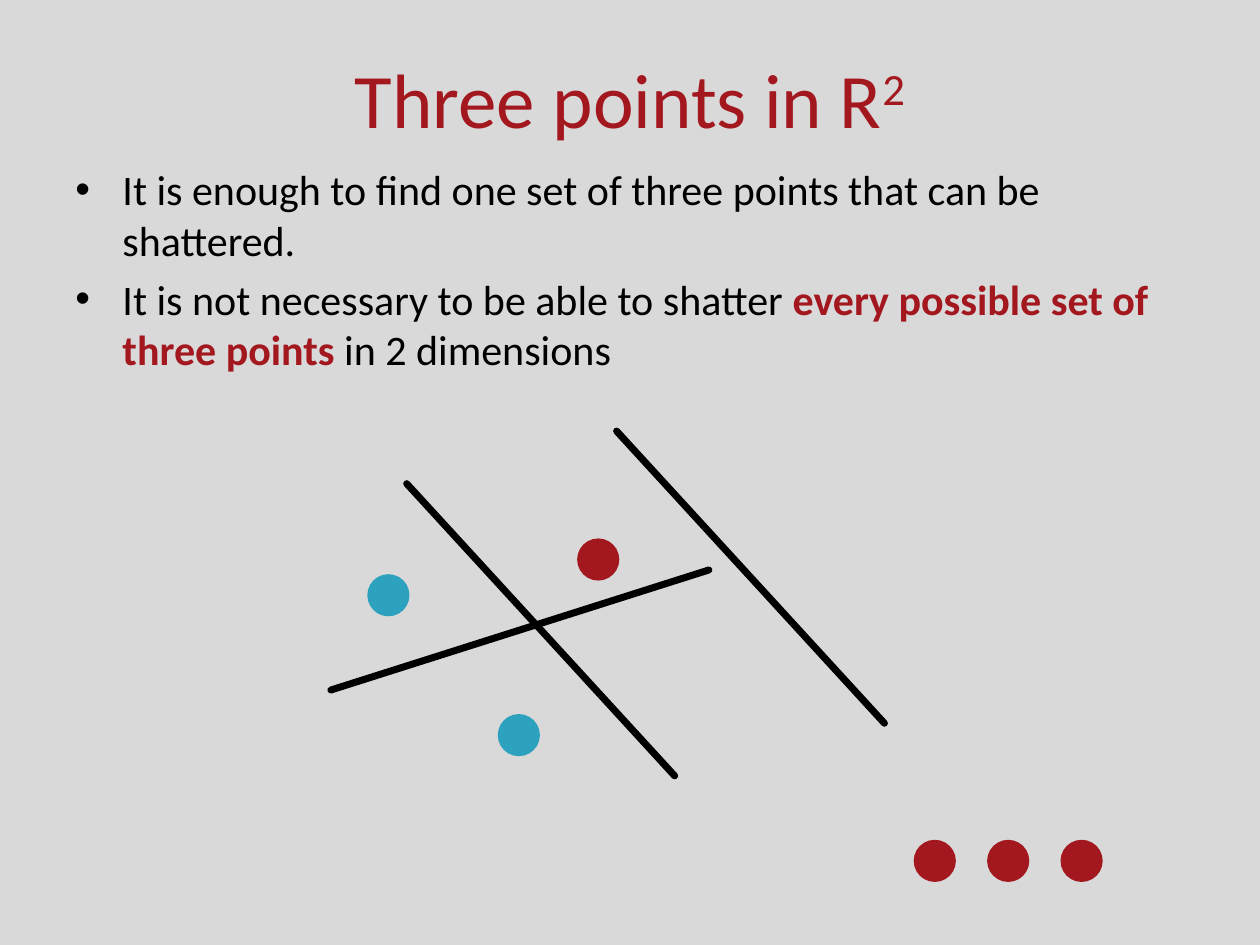
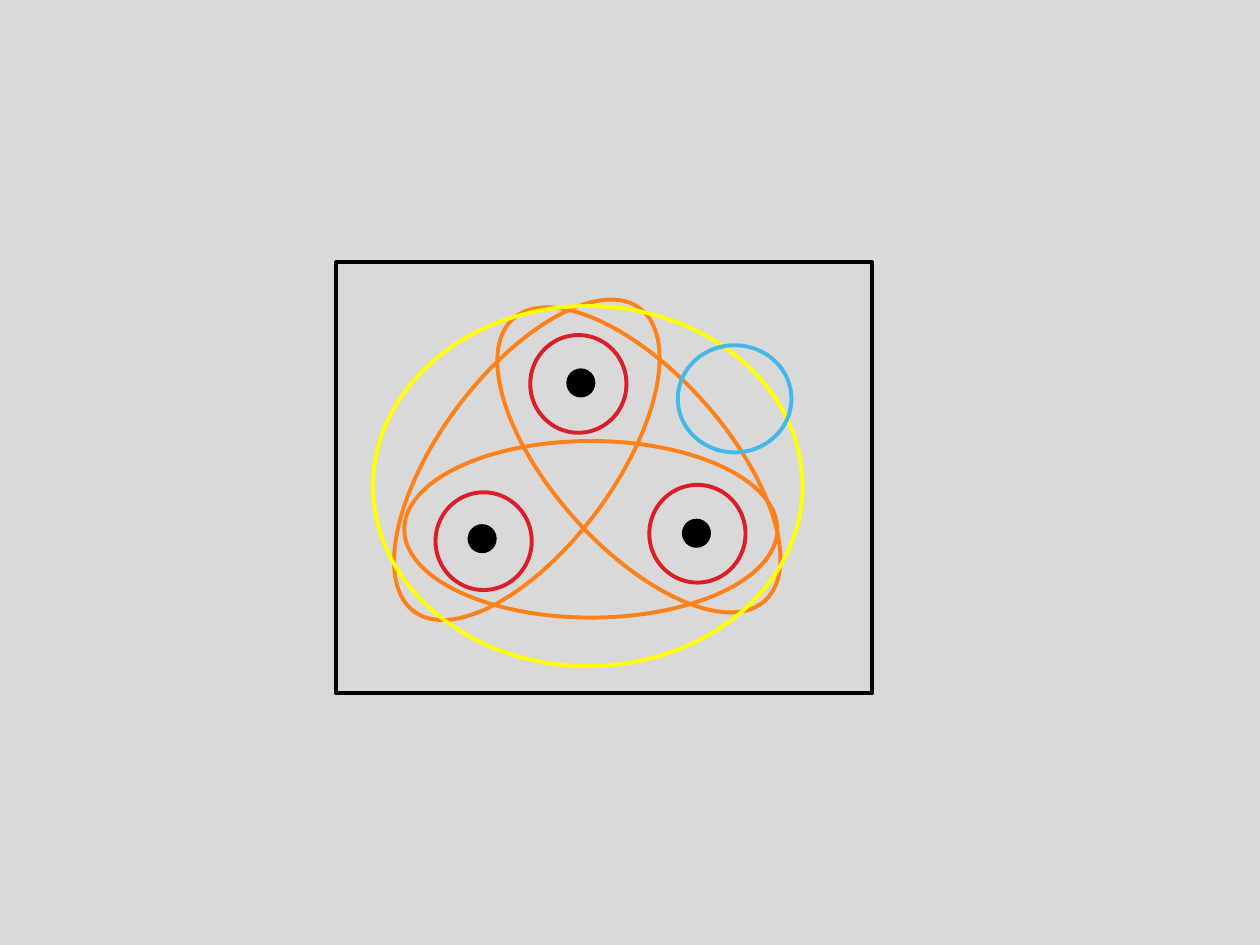
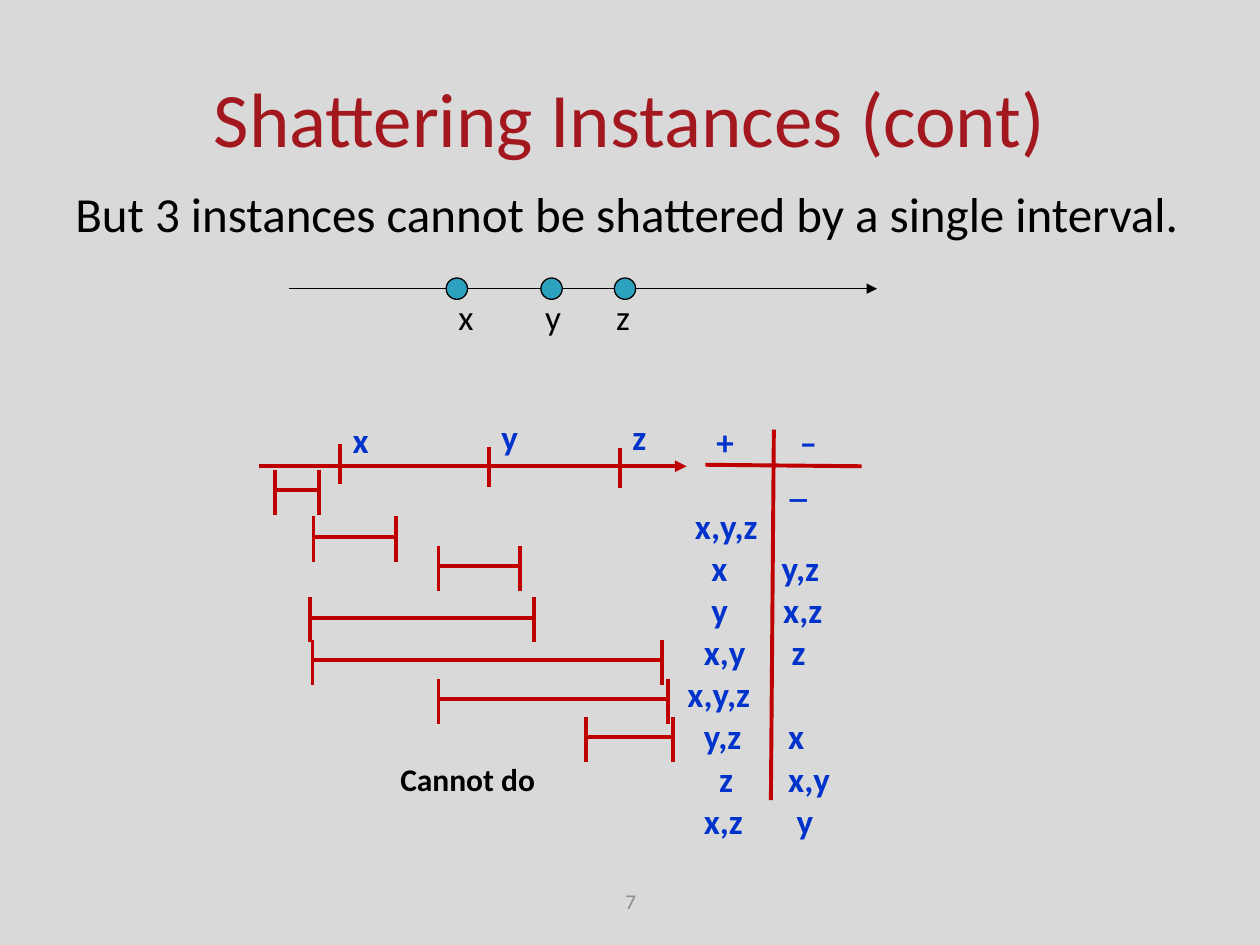
import pptx
import pptx.util
import pptx.dml.color
import pptx.enum.shapes
import pptx.enum.text
import pptx.oxml
import pptx.oxml.ns
from lxml import etree

Cm, Pt = pptx.util.Cm, pptx.util.Pt
KIND = pptx.enum.shapes.MSO_SHAPE
LINK = pptx.enum.shapes.MSO_CONNECTOR.STRAIGHT
ALIGN = pptx.enum.text.PP_ALIGN
ANCHOR = pptx.enum.text.MSO_ANCHOR

HUE = {"back": "D9D9D9", "title": "A3171E", "ink": "000000", "teal": "2DA2BF",
       "ring": "DA1F28", "pair": "FF8119", "all": "FFFF00", "none": "44B9E8",
       "rule": "C00000", "label": "0033CC", "page": "8C8C8C"}
FONT = "Calibri"
DOT = 0.85      # diameter of a point on the first slide


# ---- shared helpers; lengths are in centimetres ----
def rgb(name):
    return pptx.dml.color.RGBColor.from_string(HUE[name])


def put(thing, form):
    for key, val in form.items():
        setattr(thing, key, val)


def sub(node, tag, **attrs):
    child = etree.SubElement(node, pptx.oxml.ns.qn(tag))
    for key, val in attrs.items():
        child.set(key, str(val))
    return child


def write(par, text, size, hue="ink", bold=False):
    run = par.add_run()
    run.text = text
    put(run.font, {"name": FONT, "size": Pt(size), "bold": bold})
    run.font.color.rgb = rgb(hue)
    return run


def stops(par, places):
    tabs = sub(par._p.get_or_add_pPr(), "a:tabLst")
    for place in places:
        sub(tabs, "a:tab", pos=Cm(place), algn="l")


def frame(slide, box, wrap=True):
    text = slide.shapes.add_textbox(*map(Cm, box)).text_frame
    text.word_wrap = wrap
    return text


def label(slide, box, text, size, hue="ink", bold=True):
    par = frame(slide, box, False).paragraphs[0]
    write(par, text, size, hue, bold)
    return par


def line(slide, x1, y1, x2, y2, hue, width, head=False, cap=None):
    link = slide.shapes.add_connector(LINK, *map(Cm, (x1, y1, x2, y2)))
    link.line.color.rgb = rgb(hue)
    link.line.width = Pt(width)
    stroke = link.line._get_or_add_ln()
    if cap:
        stroke.set("cap", cap)
    if head:
        sub(stroke, "a:tailEnd", type="triangle")
    sub(link._element.spPr, "a:effectLst")


def shape(slide, kind, x, y, wide, high, fill=None, edge=None, width=0.75, turn=0):
    """Draw a preset shape centred on x, y."""
    item = slide.shapes.add_shape(
        kind, *map(Cm, (x - wide / 2, y - high / 2, wide, high)))
    put(item, {"rotation": turn})
    item.shadow.inherit = False
    if fill:
        item.fill.solid()
        item.fill.fore_color.rgb = rgb(fill)
    else:
        item.fill.background()
    if edge:
        item.line.color.rgb = rgb(edge)
        item.line.width = Pt(width)
    else:
        item.line.fill.background()


def title(slide, box, text, power=None):
    head = slide.shapes.title
    put(head, dict(zip(("left", "top", "width", "height"), map(Cm, box))))
    put(head.text_frame, {"vertical_anchor": ANCHOR.MIDDLE, "word_wrap": True})
    par = head.text_frame.paragraphs[0]
    par.alignment = ALIGN.CENTER
    write(par, text, 44, "title")
    if power:
        write(par, power, 44, "title").font._element.set("baseline", "30000")


# ---- regions of the points slide ----
def points(slide, box):
    text = frame(slide, box)
    items = [
        [("It is enough to find one set of three points that can be shattered.",)],
        [("It is not necessary to be able to shatter ",),
         ("every possible set of  three points ", "title", True),
         ("in 2 dimensions",)]]
    for i, parts in enumerate(items):
        par = text.add_paragraph() if i else text.paragraphs[0]
        par.space_before = Pt(4.8)
        props = par._p.get_or_add_pPr()
        props.set("marL", str(Cm(0.95)))
        props.set("indent", str(Cm(-0.95)))
        sub(props, "a:buFont", typeface="Arial")
        sub(props, "a:buChar", char="\u2022")
        for words, *look in parts:
            write(par, words, 24, *look)


def plane(slide, left, top):
    for x, y, hue in ((1.23, 3.4, "teal"), (3.86, 6.22, "teal"), (5.46, 2.68, "title")):
        shape(slide, KIND.FLOWCHART_CONNECTOR, left + x, top + y, DOT, DOT, hue)
    # two parallel cuts and one across
    cuts = [(0.07, 5.31, 7.69, 2.89)]
    cuts += [(1.6 + dx, 1.15 + dy, 7 + dx, 7.04 + dy) for dx, dy in ((0, 0), (4.23, -1.06))]
    for x1, y1, x2, y2 in cuts:
        line(slide, left + x1, top + y1, left + x2, top + y2, "ink", 4, cap="rnd")


def row(slide, left, top):
    for i in range(3):
        shape(slide, KIND.FLOWCHART_CONNECTOR, left + DOT / 2 + i * 1.48,
              top + DOT / 2, DOT, DOT, "title")


# ---- region of the subsets slide ----
def subsets(slide, left, top, wide, high):
    shape(slide, KIND.RECTANGLE, left + wide / 2, top + high / 2, wide, high,
          edge="ink", width=2.25)
    for x, y in ((4.93, 2.43), (2.94, 5.57), (7.26, 5.46)):
        shape(slide, KIND.OVAL, left + x, top + y, 0.56, 0.56, "ink", "ink")
    loops = [(4.88, 2.45, 1.94, 1.97, "ring", 0),       # one point each
             (2.97, 5.62, 1.94, 1.97, "ring", 0),
             (7.28, 5.47, 1.94, 1.97, "ring", 0),
             (6.1, 3.98, 3.51, 7.62, "pair", 318.3),    # two points each
             (5.13, 5.38, 3.56, 7.52, "pair", 270),
             (3.84, 3.98, 3.51, 7.62, "pair", 36.7),
             (5.07, 4.51, 8.66, 7.26, "all", 0),        # all points
             (8.03, 2.75, 2.29, 2.16, "none", 0)]       # no point
    for x, y, w, h, hue, turn in loops:
        shape(slide, KIND.OVAL, left + x, top + y, w, h, edge=hue, width=2.25, turn=turn)


# ---- regions of the intervals slide ----
def lead(slide, box):
    par = frame(slide, box).paragraphs[0]
    put(par, {"line_spacing": 0.8, "space_before": Pt(5.6)})
    write(par, "But 3 instances cannot be shattered by a single interval.", 28)


def axis(slide, left, top, wide):
    line(slide, left, top, left + wide, top, "ink", 0.75, head=True)
    for x in (3.39, 5.3, 6.78):
        shape(slide, KIND.OVAL, left + x, top, 0.43, 0.43, "teal", "ink")
    par = label(slide, (left + 3.17, top + 0.02, 3.99, 1.12), "x\ty\tz", 20, bold=False)
    stops(par, (1.75, 3.18))


def spans(slide, left, top):
    def rule(x1, y1, x2, y2, head=False):
        line(slide, left + x1, top + y1, left + x2, top + y2, "rule", 2.25, head)

    # axis with its marks
    rule(0, 1.2, 8.61, 1.2, True)
    for name, x, y, up in (("x", 1.63, 0.75, 0.11), ("y", 4.63, 0.81, 0.06),
                           ("z", 7.27, 0.83, 0.06)):
        rule(x, y, x, y + 0.81)
        label(slide, (left + x, top + up, 0.84, 1.12), name, 20, "label")
    # intervals: start, end, top
    for x1, x2, y in ((0.31, 1.2, 1.27), (1.09, 2.75, 2.21), (3.61, 5.26, 2.8),
                      (1.02, 5.54, 3.84), (1.07, 8.11, 4.7), (3.61, 8.23, 5.49),
                      (6.58, 8.33, 6.25)):
        for x in (x1, x2):
            rule(x, y, x, y + 0.91)
        rule(x1, y + 0.41, x2, y + 0.41)
    label(slide, (left + 2.59, top + 6.99, 3.66, 1.09), "Cannot do", 18)


def signs(slide, left, top, wide, high):
    text = frame(slide, (left, top, wide, high))
    # each cell: text and its tab stop
    rows = [[("+", 0.58), ("\u2013", 2.26)], [("_", 2.06)], [("x,y,z", 0.15)],
            [("x", 0.48), ("y,z", 1.9)], [("y", 0.48), ("x,z", 1.93)],
            [("x,y", 0.33), ("z", 2.1)], [("x,y,z", 0)],
            [("y,z", 0.33), ("x", 2.03)], [("z", 0.64), ("x,y", 2.03)],
            [("x,z", 0.33), ("y", 2.2)]]
    for i, cells in enumerate(rows):
        par = text.add_paragraph() if i else text.paragraphs[0]
        stops(par, [x for _, x in cells if x])
        write(par, "".join("\t" * bool(x) + word for word, x in cells), 20, "label", True)
    for x1, y1, x2, y2 in ((0.61, 1.01, 3.76, 1.04), (1.99, 0.3, 1.93, 7.77)):
        line(slide, left + x1, top + y1, left + x2, top + y2, "rule", 2.25)


def page(slide, box, num):
    text = frame(slide, box)
    text.vertical_anchor = ANCHOR.MIDDLE
    text.paragraphs[0].alignment = ALIGN.CENTER
    write(text.paragraphs[0], num, 12, "page")


# ---- deck ----
deck = pptx.Presentation()
put(deck, {"slide_width": Cm(25.4), "slide_height": Cm(19.05)})
back = deck.slide_master.background.fill
back.solid()
back.fore_color.rgb = rgb("back")
TITLED, BLANK = deck.slide_layouts[5], deck.slide_layouts[6]

first = deck.slides.add_slide(TITLED)
title(first, (1.27, 0.76, 22.86, 2.41), "Three points in R", "2")
points(first, (1.27, 3.18, 22.86, 13.84))
plane(first, 6.6, 8.6)
row(first, 18.42, 16.93)

second = deck.slides.add_slide(BLANK)
subsets(second, 6.78, 5.29, 10.8, 8.69)

third = deck.slides.add_slide(TITLED)
page(third, (8.69, 17.65, 8.05, 1.02), "7")
title(third, (1.27, 0.76, 22.86, 3.18), "Shattering Instances (cont)")
lead(third, (1.27, 3.81, 22.86, 1.4))
signs(third, 13.61, 8.36, 4.06, 9.14)
spans(third, 5.23, 8.2)
axis(third, 5.82, 5.82, 11.86)

deck.save("out.pptx")
